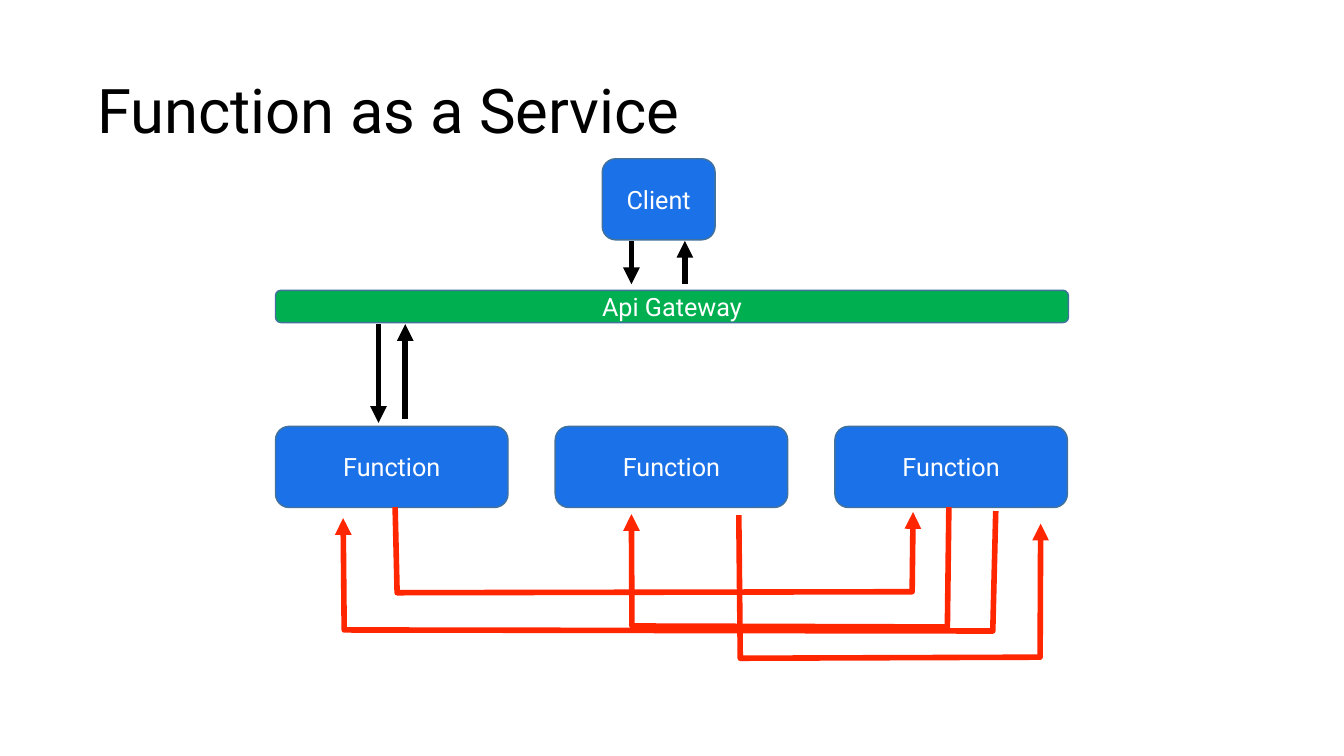
"""Draw the Function as a Service diagram on a grid of 100 columns by 100 rows."""
from dataclasses import dataclass
from typing import NamedTuple

from lxml.etree import SubElement
from pptx import Presentation
from pptx.dml.color import RGBColor
from pptx.enum.shapes import MSO_CONNECTOR, MSO_SHAPE
from pptx.enum.text import MSO_ANCHOR, PP_ALIGN
from pptx.oxml.ns import qn
from pptx.util import Inches, Pt


@dataclass(frozen=True)
class Theme:
    font: str = "Roboto"
    title: int = 88
    label: int = 36
    edge: int = 2
    arrow: int = 8
    black: str = "000000"
    white: str = "FFFFFF"
    blue: str = "1B72E8"
    green: str = "00B050"
    red: str = "FF2600"
    border: str = "42719B"


class Point(NamedTuple):
    col: float
    row: float


class Box(NamedTuple):
    text: str
    col: float
    row: float
    cols: float
    rows: float
    fill: str


THEME = Theme()
WIDTH, HEIGHT = Inches(26.67), Inches(15)
LEFT, STEP = 20.5, 20.81
BOXES = [
    Box("Client", 44.81, 21, 8.4, 10.73, THEME.blue),
    Box("Api Gateway", LEFT, 38.4, 59, 4.27, THEME.green),
    *(Box("Function", LEFT + i * STEP, 56.4, 17.3, 10.73, THEME.blue) for i in range(3)),
]
CALLS = [
    (Point(28.16, 42.87), Point(28.16, 55.93)),
    (Point(30.15, 55.4), Point(30.15, 42.87)),
    (Point(46.98, 31.87), Point(46.98, 37.6)),
    (Point(50.96, 37.6), Point(50.96, 31.87)),
]
LOOPS = [
    (Point(29.4, 67.07), Point(29.55, 78.4), Point(67.87, 78.27), Point(67.94, 67.73)),
    (Point(70.6, 67.07), Point(70.49, 82.93), Point(47.02, 82.8), Point(46.98, 68)),
    (Point(54.97, 68.13), Point(55.08, 87.07), Point(77.39, 86.93), Point(77.43, 69.27)),
    (Point(74.09, 67.6), Point(73.87, 83.47), Point(25.61, 83.33), Point(25.53, 68.53)),
]


def place(col: float, row: float) -> tuple[int, int]:
    """Turn grid columns and rows into slide lengths."""
    return round(WIDTH * col / 100), round(HEIGHT * row / 100)


def write(frame, text: str, size: int, color: str, align: PP_ALIGN) -> None:
    """Write one styled run in the middle of a text frame."""
    frame.word_wrap = True
    frame.vertical_anchor = MSO_ANCHOR.MIDDLE
    frame.margin_top = frame.margin_bottom = 0
    para = frame.paragraphs[0]
    para.alignment = align
    run = para.add_run()
    run.text = text
    run.font.name = THEME.font
    run.font.size = Pt(size)
    run.font.color.rgb = RGBColor.from_string(color)


def add_title(shapes, text: str) -> None:
    """Add the slide heading."""
    frame = shapes.add_textbox(*place(6.86, 5.33), *place(86.24, 19.33)).text_frame
    write(frame, text, THEME.title, THEME.black, PP_ALIGN.LEFT)
    frame.paragraphs[0].line_spacing = 0.9


def add_box(shapes, box: Box) -> None:
    """Add a rounded box with its label."""
    shape = shapes.add_shape(MSO_SHAPE.ROUNDED_RECTANGLE,
                             *place(box.col, box.row), *place(box.cols, box.rows))
    shape.shadow.inherit = False
    shape.fill.solid()
    shape.fill.fore_color.rgb = RGBColor.from_string(box.fill)
    shape.line.color.rgb = RGBColor.from_string(THEME.border)
    shape.line.width = Pt(THEME.edge)
    write(shape.text_frame, box.text, THEME.label, THEME.white, PP_ALIGN.CENTER)


def point_end(line, color: str) -> None:
    """Style a line and put an arrowhead at its end."""
    line.color.rgb = RGBColor.from_string(color)
    line.width = Pt(THEME.arrow)
    SubElement(line._get_or_add_ln(), qn("a:tailEnd"), type="triangle")


def add_call(shapes, start: Point, end: Point) -> None:
    """Add a straight arrow."""
    call = shapes.add_connector(MSO_CONNECTOR.STRAIGHT, *place(*start), *place(*end))
    point_end(call.line, THEME.black)
    SubElement(call._element.spPr, qn("a:effectLst"))


def add_loop(shapes, points: tuple[Point, ...]) -> None:
    """Add a bent arrow through the points."""
    start, *rest = (place(*point) for point in points)
    pen = shapes.build_freeform(*start)
    pen.add_line_segments(rest, close=False)
    loop = pen.convert_to_shape()
    loop.shadow.inherit = False
    loop.fill.background()
    point_end(loop.line, THEME.red)


def main() -> None:
    """Build and save the slide."""
    deck = Presentation()
    deck.slide_width, deck.slide_height = WIDTH, HEIGHT
    shapes = deck.slides.add_slide(deck.slide_layouts[6]).shapes
    add_title(shapes, "Function as a Service")
    for box in BOXES:
        add_box(shapes, box)
    for start, end in CALLS:
        add_call(shapes, start, end)
    for points in LOOPS:
        add_loop(shapes, points)
    deck.save("out.pptx")


if __name__ == "__main__":
    main()
